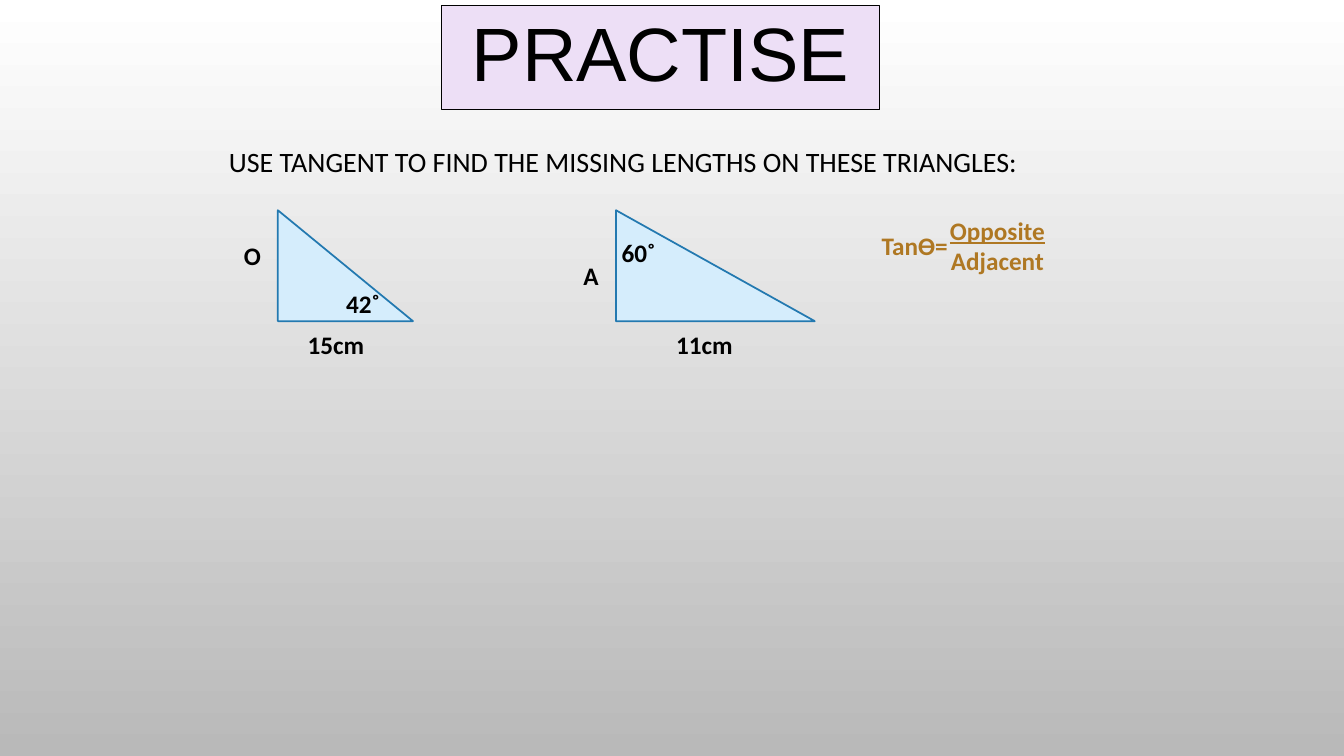
from lxml import etree
from pptx import Presentation
from pptx.dml.color import RGBColor
from pptx.enum.shapes import MSO_SHAPE
from pptx.enum.text import MSO_ANCHOR, MSO_AUTO_SIZE, PP_ALIGN
from pptx.oxml.ns import qn
from pptx.util import Pt

LEFT, MID, RIGHT = PP_ALIGN.LEFT, PP_ALIGN.CENTER, PP_ALIGN.RIGHT
TRI = MSO_SHAPE.RIGHT_TRIANGLE
CENTRE, TOP = MSO_ANCHOR.MIDDLE, MSO_ANCHOR.TOP
NO_FIT, GROW = MSO_AUTO_SIZE.NONE, MSO_AUTO_SIZE.SHAPE_TO_FIT_TEXT

INK = {
    "black": "000000",
    "white": "FFFFFF",
    "grey": "B9B9B9",
    "lilac": "EDDFF6",
    "sky": "D5EDFC",
    "blue": "2379B0",
    "gold": "AF7823",
}


def rgb(name):
    return RGBColor.from_string(INK[name])


def place(shape, x, y, w, h):
    shape.left, shape.top, shape.width, shape.height = Pt(x), Pt(y), Pt(w), Pt(h)


def paint(shape, fill, line, width):
    shape.fill.solid()
    shape.fill.fore_color.rgb = rgb(fill)
    shape.line.color.rgb = rgb(line)
    shape.line.width = Pt(width)


def style(par, size, face="Calibri", tone="black", bold=False):
    font = par.font
    font.size, font.name, font.bold = Pt(size), face, bold
    font.color.rgb = rgb(tone)


def shade(slide):
    fill = slide.background.fill
    fill.gradient()
    fill.gradient_angle = 270
    for stop, tone in zip(fill.gradient_stops, ("white", "grey")):
        stop.color.rgb = rgb(tone)


def head(shape, text):
    place(shape, 315.36, 3.6, 313.2, 74.88)
    paint(shape, "lilac", "black", 0.75)
    frame = shape.text_frame
    frame.text = text
    frame.auto_size, frame.vertical_anchor = NO_FIT, CENTRE
    par = frame.paragraphs[0]
    par.alignment, par.line_spacing = MID, 0.9
    style(par, 54, "Arial")


def task(shape, text):
    place(shape, 156.24, 95.04, 648, 356.4)
    frame = shape.text_frame
    frame.text = text
    frame.auto_size, frame.vertical_anchor = NO_FIT, TOP
    par = frame.paragraphs[0]
    par.line_spacing, par.space_before = 1.2, Pt(0)
    # Hanging indent without a bullet
    props = par._p.get_or_add_pPr()
    props.set("marL", str(Pt(36)))
    props.set("indent", str(Pt(-36)))
    etree.SubElement(props, qn("a:buNone"))
    style(par, 20)


def label(shapes, text, x, y, w, h=29, wrap=True, align=LEFT, tone="black"):
    frame = shapes.add_textbox(Pt(x), Pt(y), Pt(w), Pt(h)).text_frame
    frame.text = text
    frame.word_wrap, frame.auto_size = wrap, GROW
    for par in frame.paragraphs:
        par.alignment = align
        style(par, 18, tone=tone, bold=True)
    return frame


def wedge(shapes, x, w):
    shape = shapes.add_shape(TRI, Pt(x), Pt(150.2), Pt(w), Pt(79.2))
    shape.shadow.inherit = False
    paint(shape, "sky", "blue", 1.25)


def main():
    prs = Presentation()
    prs.slide_width, prs.slide_height = Pt(960), Pt(540)
    slide = prs.slides.add_slide(prs.slide_layouts[1])
    shapes = slide.shapes
    shade(slide)

    # Heading and task
    head(shapes.title, "PRACTISE")
    task(slide.placeholders[1],
         "USE TANGENT TO FIND THE MISSING LENGTHS ON THESE TRIANGLES:")

    # Left triangle: find the opposite side
    wedge(shapes, 198.5, 96.5)
    label(shapes, "O", 167.04, 168, 18)
    label(shapes, "15cm", 212.6, 231.4, 55.4, wrap=False)
    label(shapes, "42˚", 240.2, 202.7, 39.6, wrap=False)

    # Right triangle: find the adjacent side
    wedge(shapes, 440, 142)
    label(shapes, "11cm", 475.9, 231.4, 55.4, wrap=False)
    label(shapes, "A", 409.7, 182.2, 20.2)
    label(shapes, "60˚", 437, 165.8, 39.6, wrap=False)

    # Tangent rule
    rule = shapes.add_group_shape().shapes
    label(rule, "Tanϴ=", 571, 160.8, 113, align=RIGHT, tone="gold")
    ratio = label(rule, "Opposite\nAdjacent", 613.1, 150.2, 198.7, 51,
                  align=MID, tone="gold")
    ratio.paragraphs[0].font.underline = True
    # Runs carry the underline so that it shows
    ratio.paragraphs[0].runs[0].font.underline = True

    prs.save("out.pptx")


if __name__ == "__main__":
    main()
